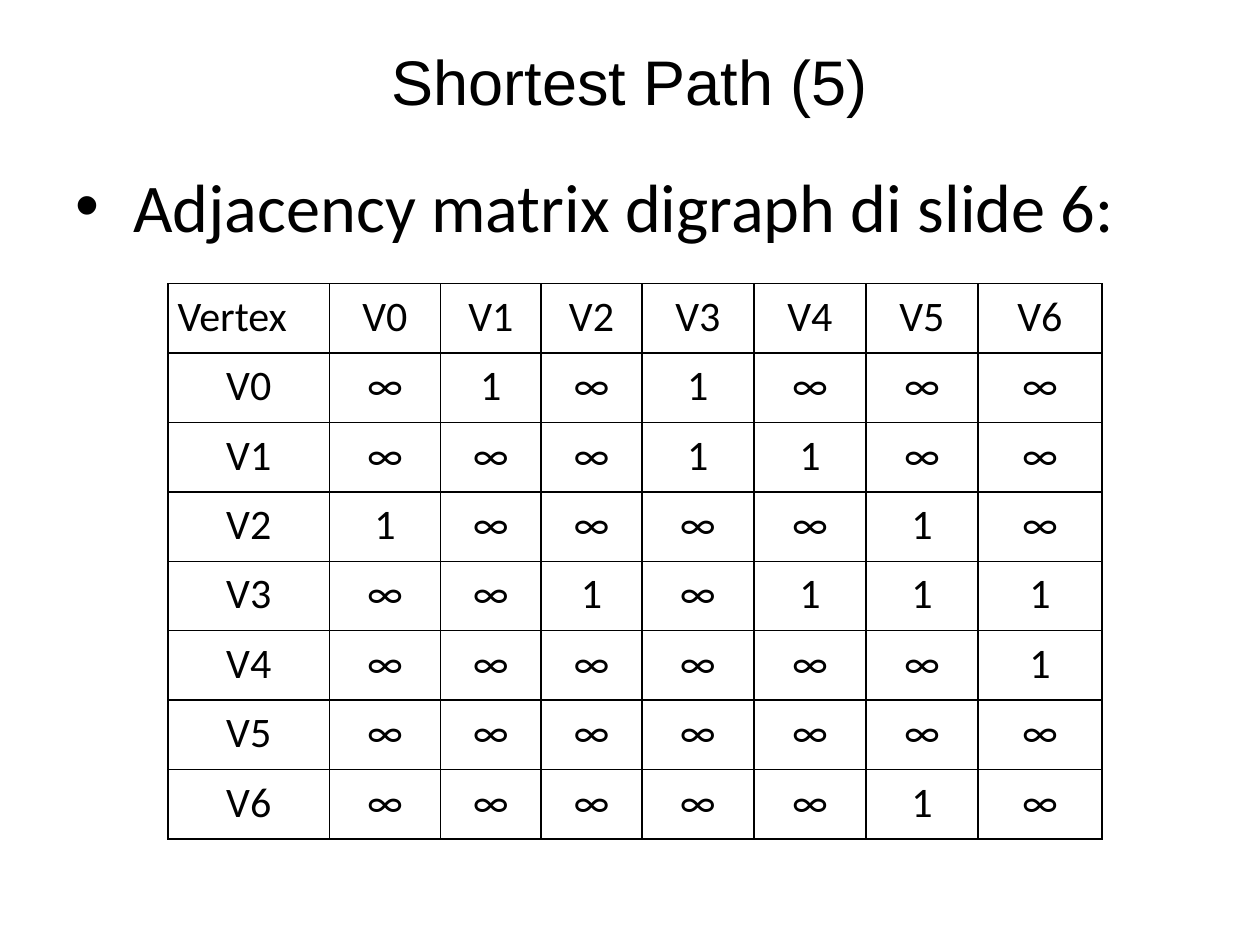
"""Build the "Shortest Path (5)" slide with its adjacency matrix."""
from dataclasses import dataclass

from lxml.etree import SubElement
from pptx import Presentation
from pptx.dml.color import RGBColor
from pptx.enum.text import MSO_ANCHOR, PP_ALIGN
from pptx.oxml.ns import qn
from pptx.util import Cm, Pt


@dataclass(frozen=True)
class Theme:
    ink: str = "000000"
    paper: str = "FFFFFF"
    title_font: str = "Arial"
    body_font: str = "Calibri"
    title_size: int = 36
    body_size: int = 39
    cell_size: int = 24
    border_width: int = 1


theme = Theme()


def format_runs(paragraph, font_name, size):
    for run in paragraph.runs:
        run.font.name = font_name
        run.font.size = Pt(size)
        run.font.color.rgb = RGBColor.from_string(theme.ink)


def add_borders(cell):
    properties = cell._tc.get_or_add_tcPr()
    for position, side in enumerate(("a:lnL", "a:lnR", "a:lnT", "a:lnB")):
        line = SubElement(properties, qn(side), w=str(Pt(theme.border_width)))
        fill = SubElement(line, qn("a:solidFill"))
        SubElement(fill, qn("a:srgbClr"), val=theme.ink)
        properties.insert(position, line)


presentation = Presentation()
presentation.slide_width = Cm(25.4)
presentation.slide_height = Cm(19.05)
slide = presentation.slides.add_slide(presentation.slide_layouts[5])
slide.background.fill.solid()
slide.background.fill.fore_color.rgb = RGBColor.from_string(theme.paper)

title = slide.shapes.title
title.left, title.top, title.width, title.height = Cm(1.27), Cm(0.03), Cm(22.86), Cm(3.17)
title.text_frame.text = "Shortest Path (5)"
title.text_frame.vertical_anchor = MSO_ANCHOR.MIDDLE
title.text_frame.paragraphs[0].alignment = PP_ALIGN.CENTER
format_runs(title.text_frame.paragraphs[0], theme.title_font, theme.title_size)

body = slide.shapes.add_textbox(Cm(1.27), Cm(3.18), Cm(22.86), Cm(13.84))
body.text_frame.word_wrap = True
body.text_frame.text = "Adjacency matrix digraph di slide 6:"
paragraph = body.text_frame.paragraphs[0]
paragraph_properties = paragraph._p.get_or_add_pPr()
paragraph_properties.set("marL", str(Cm(1.17)))
paragraph_properties.set("indent", str(-Cm(1.17)))
SubElement(paragraph_properties, qn("a:buFont"), typeface=theme.title_font)
SubElement(paragraph_properties, qn("a:buChar"), char="•")
format_runs(paragraph, theme.body_font, theme.body_size)

neighbours = [{1, 3}, {3, 4}, {0, 5}, {2, 4, 5, 6}, {6}, set(), {5}]
vertices = [f"V{index}" for index in range(len(neighbours))]
matrix = [["Vertex", *vertices]]
for vertex, targets in zip(vertices, neighbours):
    matrix.append([vertex] + ["1" if index in targets else "∞" for index in range(len(vertices))])

column_widths = [3.25, 2.24, 2.03, 2.03, 2.26, 2.26, 2.26, 2.5]
row_height = 1.4
table = slide.shapes.add_table(
    len(matrix), len(column_widths), Cm(3.39), Cm(5.72),
    Cm(sum(column_widths)), Cm(row_height * len(matrix)),
).table
table.first_row = False
table.horz_banding = False
for column, width in zip(table.columns, column_widths):
    column.width = Cm(width)

for row, values in zip(table.rows, matrix):
    row.height = Cm(row_height)
    for cell, value in zip(row.cells, values):
        cell.fill.background()
        add_borders(cell)
        cell.margin_left = cell.margin_right = Cm(0.19)
        cell.margin_top = cell.margin_bottom = Cm(0)
        cell.vertical_anchor = MSO_ANCHOR.TOP
        cell.text_frame.text = value
        paragraph = cell.text_frame.paragraphs[0]
        paragraph.alignment = PP_ALIGN.LEFT if value == "Vertex" else PP_ALIGN.CENTER
        paragraph.line_spacing = 1.15
        format_runs(paragraph, theme.body_font, theme.cell_size)

presentation.save("out.pptx")
